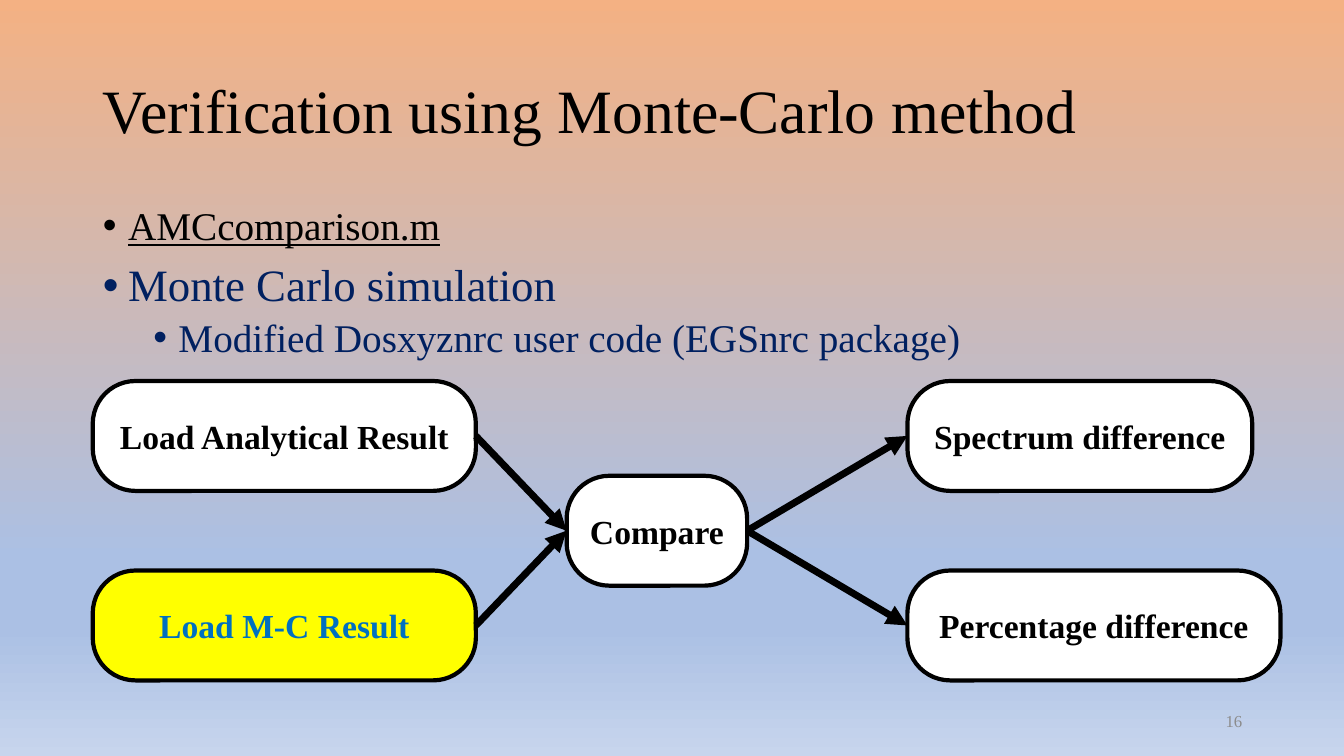
from lxml import etree
from pptx import Presentation
from pptx import util as u
from pptx.dml.color import RGBColor
from pptx.enum import shapes, text
from pptx.oxml import parse_xml
from pptx.oxml.ns import qn

# Content
FONT = "Times New Roman"
TITLE = "Verification using Monte-Carlo method"
BULLETS = [  # words, level, format, space before
    ("AMCcomparison.m", 0, dict(size=28, color="000000", underline=True), 0),
    ("Monte Carlo simulation", 0, dict(size=32, color="002060"), 10),
    ("Modified Dosxyznrc user code (EGSnrc package)", 1,
     dict(size=28, color="002060"), 5),
]
PAGE_NUMBER = "16"
BOXES = {  # label: (column, row, width, fill, font colour)
    "Load Analytical Result": (0, 0, 3.8, "FFFFFF", "000000"),
    "Load M-C Result": (0, 2, 3.8, "FFFF00", "0070C0"),
    "Compare": (1, 1, 1.79, "FFFFFF", "000000"),
    "Spectrum difference": (2, 0, 3.42, "FFFFFF", "000000"),
    "Percentage difference": (2, 2, 3.7, "FFFFFF", "000000"),
}
ARROWS = [
    ("Load Analytical Result", "Compare"),
    ("Load M-C Result", "Compare"),
    ("Compare", "Spectrum difference"),
    ("Compare", "Percentage difference"),
]
SKY = [(0, "F4B183"), (74, "ABC0E4"), (83, "ABC0E4"), (100, "C7D5ED")]

# Grid, in inches
WIDTH, HEIGHT = 13.33, 7.5
MARGIN, TEXT_WIDTH = 0.92, 11.5
COLUMNS = [MARGIN, 5.62, 9]
ROW_TOP, ROW_STEP, BOX_HEIGHT = 3.78, 0.94, 1.09
LEFT_SITE, RIGHT_SITE = 1, 3


def color(value):
    return RGBColor.from_string(value)


def place(shape, *lengths):
    for name, length in zip(("left", "top", "width", "height"), lengths):
        setattr(shape, name, u.Inches(length))


def write(para, words, size, color_hex, **formats):
    span = para.add_run()
    span.text = words
    span.font.color.rgb = color(color_hex)
    for name, value in dict(name=FONT, size=u.Pt(size), **formats).items():
        setattr(span.font, name, value)


def add_bullet(para, level):
    properties = para._p.get_or_add_pPr()
    properties.set("marL", str(u.Inches(0.25 + 0.5 * level)))
    properties.set("indent", str(-u.Inches(0.25)))
    etree.SubElement(properties, qn("a:buFont")).set("typeface", "Arial")
    etree.SubElement(properties, qn("a:buChar")).set("char", "•")


def paint_background(page):
    stops = "".join(f'<a:gs pos="{share * 1000}"><a:srgbClr val="{tone}"/></a:gs>'
                    for share, tone in SKY)
    page.background.fill.solid()
    solid = page.background._cSld.bg.bgPr.find(qn("a:solidFill"))
    solid.getparent().replace(solid, parse_xml(
        '<a:gradFill xmlns:a="http://schemas.openxmlformats.org/drawingml/2006/main"'
        f' rotWithShape="1"><a:gsLst>{stops}</a:gsLst>'
        '<a:lin ang="5400000" scaled="0"/></a:gradFill>'))


def add_box(page, label, column, row, width, fill, font_color):
    box = page.shapes.add_shape(shapes.MSO_SHAPE.ROUNDED_RECTANGLE, 0, 0, 0, 0)
    place(box, COLUMNS[column], ROW_TOP + row * ROW_STEP, width, BOX_HEIGHT)
    box.adjustments[0] = 0.388
    box.shadow.inherit = False
    box.fill.solid()
    box.fill.fore_color.rgb = color(fill)
    box.line.color.rgb = color("000000")
    box.line.width = u.Pt(3)
    frame = box.text_frame
    frame.word_wrap = False
    frame.vertical_anchor = text.MSO_ANCHOR.MIDDLE
    para = frame.paragraphs[0]
    para.alignment = text.PP_ALIGN.CENTER
    write(para, label, 24, font_color, bold=True)
    return box


def add_arrow(page, start, end):
    arrow = page.shapes.add_connector(shapes.MSO_CONNECTOR.STRAIGHT, 0, 0, 0, 0)
    arrow.begin_connect(start, RIGHT_SITE)
    arrow.end_connect(end, LEFT_SITE)
    arrow.line.color.rgb = color("000000")
    arrow.line.width = u.Pt(5)
    line = arrow.line._get_or_add_ln()
    etree.SubElement(line, qn("a:tailEnd")).set("type", "triangle")
    etree.SubElement(arrow._element.spPr, qn("a:effectLst"))


def main():
    deck = Presentation()
    deck.slide_width, deck.slide_height = u.Inches(WIDTH), u.Inches(HEIGHT)
    page = deck.slides.add_slide(deck.slide_layouts[1])
    paint_background(page)

    # Title
    title = page.shapes.title
    place(title, MARGIN, 0.4, TEXT_WIDTH, 1.45)
    title.text_frame.auto_size = text.MSO_AUTO_SIZE.NONE
    title.text_frame.vertical_anchor = text.MSO_ANCHOR.MIDDLE
    para = title.text_frame.paragraphs[0]
    para.alignment = text.PP_ALIGN.LEFT
    para.line_spacing = 0.9
    write(para, TITLE, 44, "000000")

    # Bulleted list
    body = page.placeholders[1]
    place(body, MARGIN, 2, TEXT_WIDTH, 4.76)
    frame = body.text_frame
    frame.auto_size = text.MSO_AUTO_SIZE.NONE
    for number, (words, level, formats, before) in enumerate(BULLETS):
        para = frame.add_paragraph() if number else frame.paragraphs[0]
        para.level = level
        para.line_spacing = 0.9
        para.space_before = u.Pt(before)
        add_bullet(para, level)
        options = dict(formats)
        write(para, words, options.pop("size"), options.pop("color"), **options)

    # Page number
    corner = page.shapes.add_textbox(0, 0, 0, 0)
    place(corner, 9.42, 6.95, 3, 0.4)
    corner.text_frame.word_wrap = True
    corner.text_frame.vertical_anchor = text.MSO_ANCHOR.MIDDLE
    para = corner.text_frame.paragraphs[0]
    para.alignment = text.PP_ALIGN.RIGHT
    write(para, PAGE_NUMBER, 12, "8C8C8C")

    # Flow chart
    boxes = {label: add_box(page, label, *layout) for label, layout in BOXES.items()}
    for start, end in ARROWS:
        add_arrow(page, boxes[start], boxes[end])

    deck.save("out.pptx")


if __name__ == "__main__":
    main()
